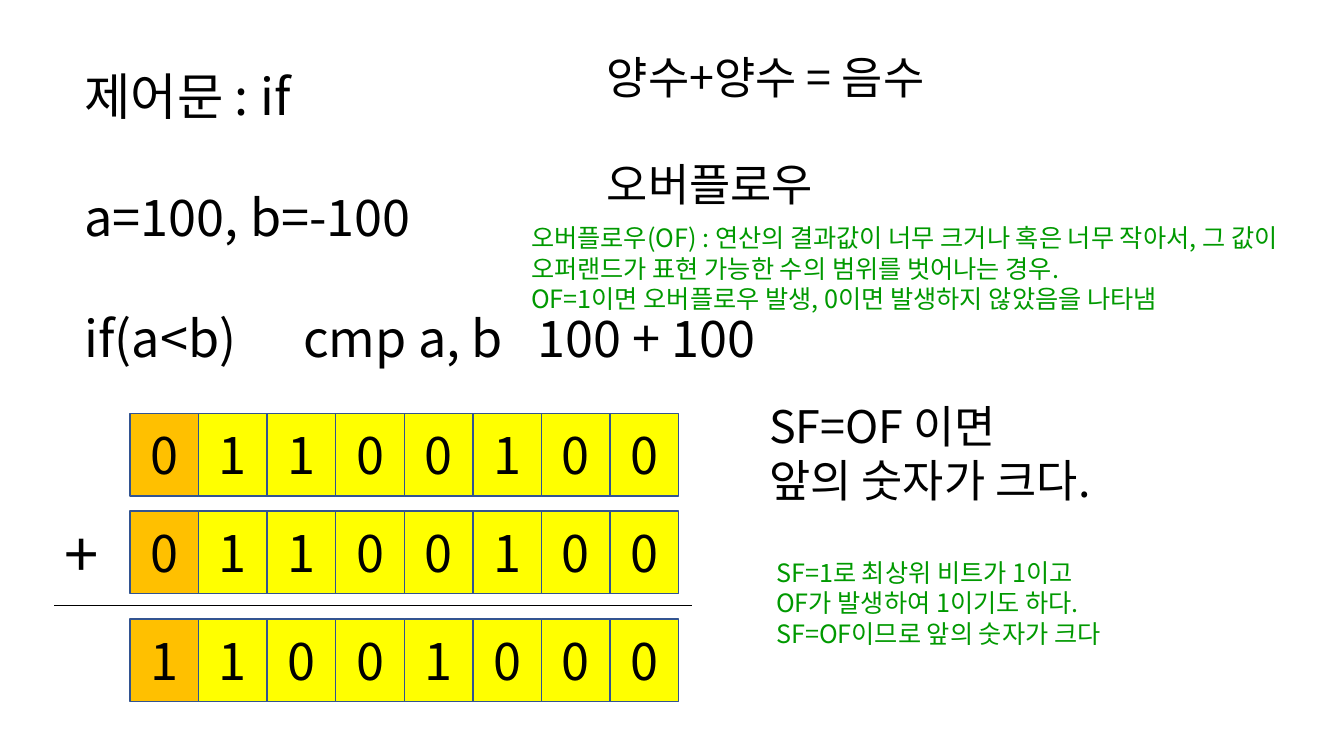
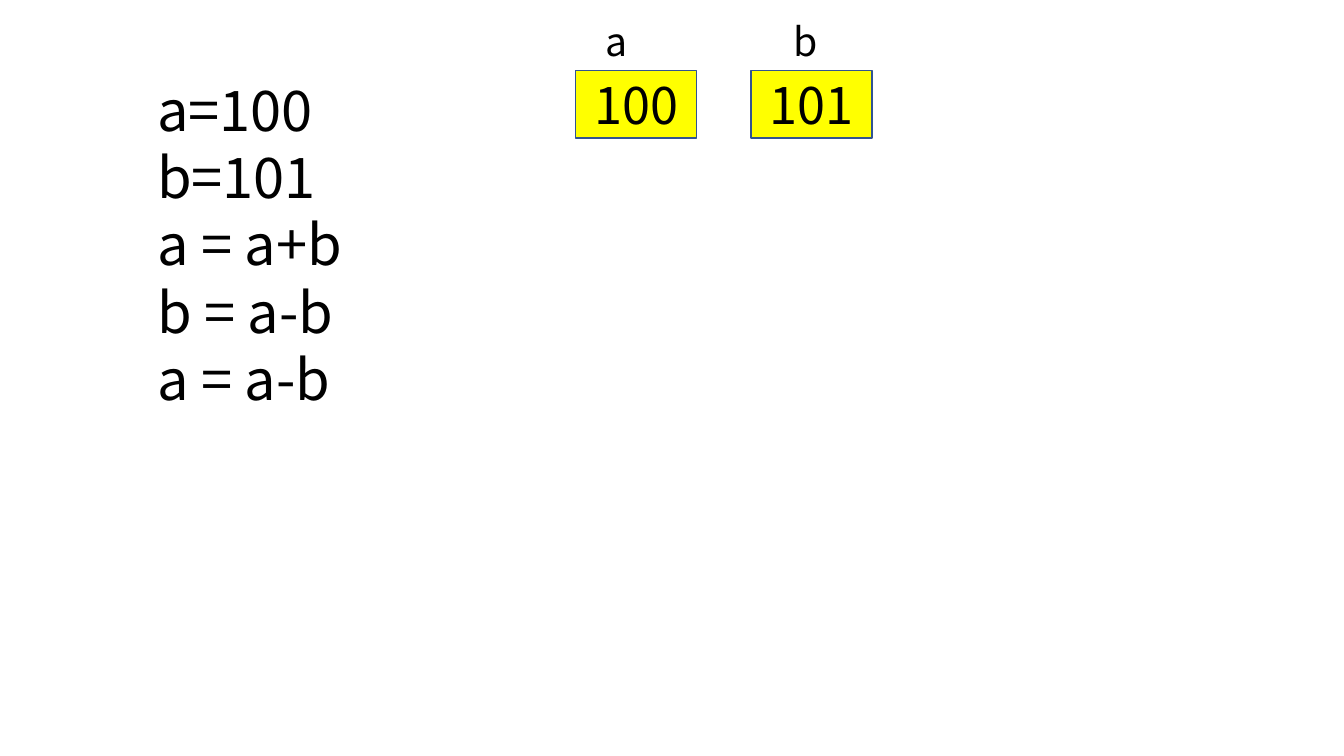
from pptx import Presentation
from pptx.dml.color import RGBColor
from pptx.enum.shapes import MSO_CONNECTOR as Connector, MSO_SHAPE as Shape
from pptx.enum.text import MSO_ANCHOR as Anchor, MSO_AUTO_SIZE as AutoSize, PP_ALIGN as Align
from pptx.oxml.ns import qn
from pptx.util import Emu, Pt
from lxml.etree import SubElement

PX = 9144  # 100 px to the inch
FONT = "Noto Sans CJK KR"
BLACK, GREEN, YELLOW, ORANGE, BLUE = "000000", "009900", "FFFF00", "FFC000", "325491"


def px(*lengths):
    return [Emu(length * PX) for length in lengths]


def color(hex_code):
    return RGBColor.from_string(hex_code)


def write(frame, lines, size, ink=BLACK, gap=0, align=Align.LEFT, tabs=()):
    """Fill a text frame, one paragraph a line, with gap points between them."""
    for index, line in enumerate(lines):
        para = frame.paragraphs[0] if index == 0 else frame.add_paragraph()
        para.alignment = align
        if index and gap:
            para.space_before = Pt(gap)
        if "\t" in line:
            stops = SubElement(para._p.get_or_add_pPr(), qn("a:tabLst"))
            for stop in tabs:
                SubElement(stops, qn("a:tab"), pos=str(stop * PX), algn="l")
        span = para.add_run()
        span.text = line
        for name, value in {"size": Pt(size), "name": FONT}.items():
            setattr(span.font, name, value)
        span.font.color.rgb = color(ink)
        SubElement(span._r.get_or_add_rPr(), qn("a:ea"), typeface=FONT)


deck = Presentation()
deck.slide_width, deck.slide_height = px(1333, 750)
blank = deck.slide_layouts[6]
overflow_page, swap_page = [deck.slides.add_slide(blank) for _ in range(2)]

# Value cells: page, place, fill, text
cells = [
    (swap_page, (571, 70, 120, 67), YELLOW, "100"),
    (swap_page, (745, 70, 120, 67), YELLOW, "101"),
]
BIT_LEFT, BIT_WIDTH, BIT_HEIGHT = 129, 68, 82
for top, bits in [(410, "01100100"), (507, "01100100"), (614, "11001000")]:
    for column, bit in enumerate(bits):
        place = (BIT_LEFT + column * BIT_WIDTH, top, BIT_WIDTH, BIT_HEIGHT)
        cells.append((overflow_page, place, YELLOW if column else ORANGE, bit))

for page, place, fill, value in cells:
    cell = page.shapes.add_shape(Shape.RECTANGLE, *px(*place))
    cell.shadow.inherit = False
    cell.fill.solid()
    cell.fill.fore_color.rgb = color(fill)
    cell.line.color.rgb = color(BLUE)
    cell.line.width = Pt(1)
    cell.text_frame.vertical_anchor = Anchor.MIDDLE
    write(cell.text_frame, [value], 36, align=Align.CENTER)

sum_line = overflow_page.shapes.add_connector(Connector.STRAIGHT, *px(54, 601, 686, 601))
sum_line.line.color.rgb = color(BLACK)
sum_line.line.width = Pt(0.5)
SubElement(sum_line._element.spPr, qn("a:effectLst"))

# Text boxes: page, place, wrap, lines, text format
texts = [
    (overflow_page, (74, 60, 770, 313), True,
     ["제어문 : if", "a=100, b=-100", "if(a<b)\tcmp a, b\t100 + 100"],
     {"size": 36, "gap": 43, "tabs": (217, 449)}),
    (overflow_page, (54, 507, 63, 84), False, ["+"], {"size": 44}),
    (overflow_page, (753, 391, 376, 118), False,
     ["SF=OF 이면", "앞의 숫자가 크다."], {"size": 32}),
    (overflow_page, (592, 44, 384, 172), False,
     ["양수+양수 = 음수", "오버플로우"], {"size": 32, "gap": 38}),
    (overflow_page, (517, 216, 817, 101), True,
     ["오버플로우(OF) : 연산의 결과값이 너무 크거나 혹은 너무 작아서, "
      "그 값이 오퍼랜드가 표현 가능한 수의 범위를 벗어나는 경우.",
      "OF=1이면 오버플로우 발생, 0이면 발생하지 않았음을 나타냄"],
     {"size": 18, "ink": GREEN}),
    (overflow_page, (760, 548, 372, 101), False,
     ["SF=1로 최상위 비트가 1이고", "OF가 발생하여 1이기도 하다.",
      "SF=OF이므로 앞의 숫자가 크다"],
     {"size": 18, "ink": GREEN}),
    (swap_page, (146, 70, 311, 347), True,
     ["a=100", "b=101", "a = a+b", "b = a-b", "a = a-b"], {"size": 40}),
    (swap_page, (591, 12, 41, 57), False, ["a"], {"size": 28}),
    (swap_page, (777, 12, 44, 57), False, ["b"], {"size": 28}),
]
for page, place, wrap, lines, text_format in texts:
    box = page.shapes.add_textbox(*px(*place))
    box.text_frame.word_wrap = wrap
    box.text_frame.auto_size = AutoSize.SHAPE_TO_FIT_TEXT
    write(box.text_frame, lines, **text_format)

deck.save("out.pptx")
